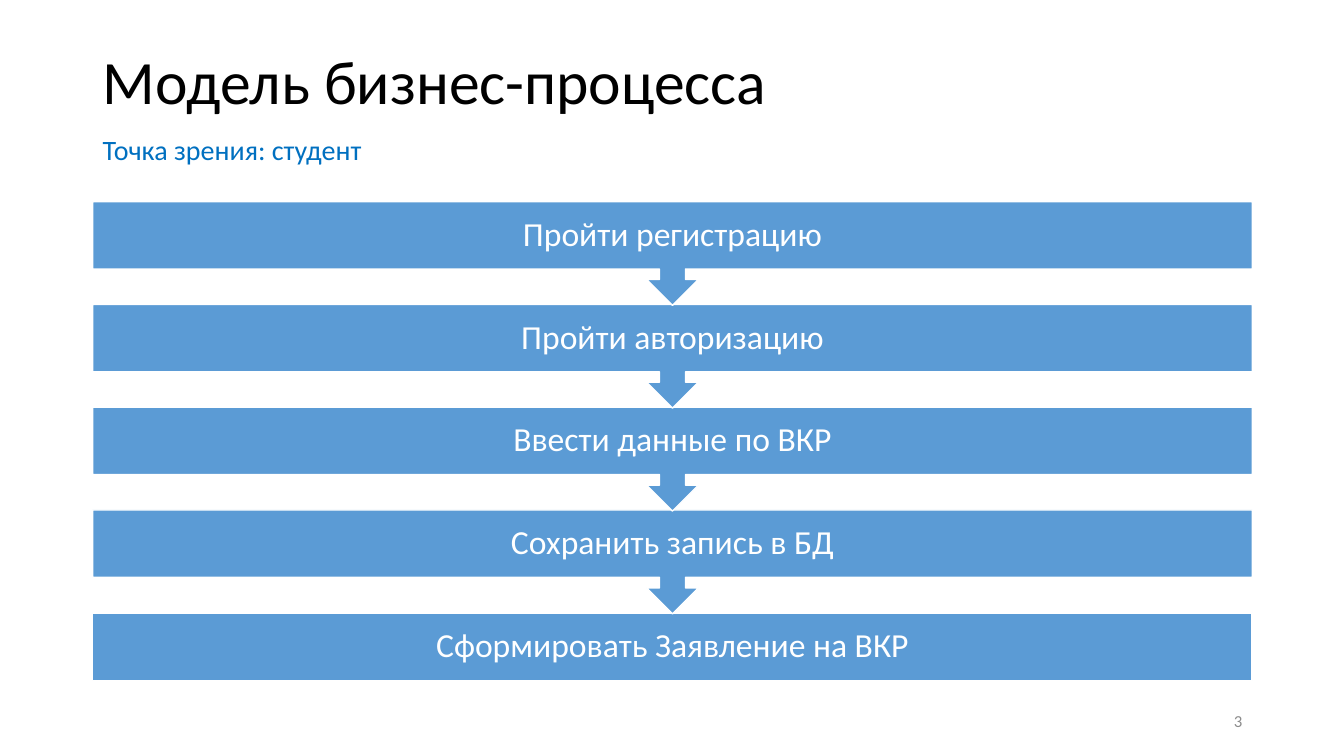
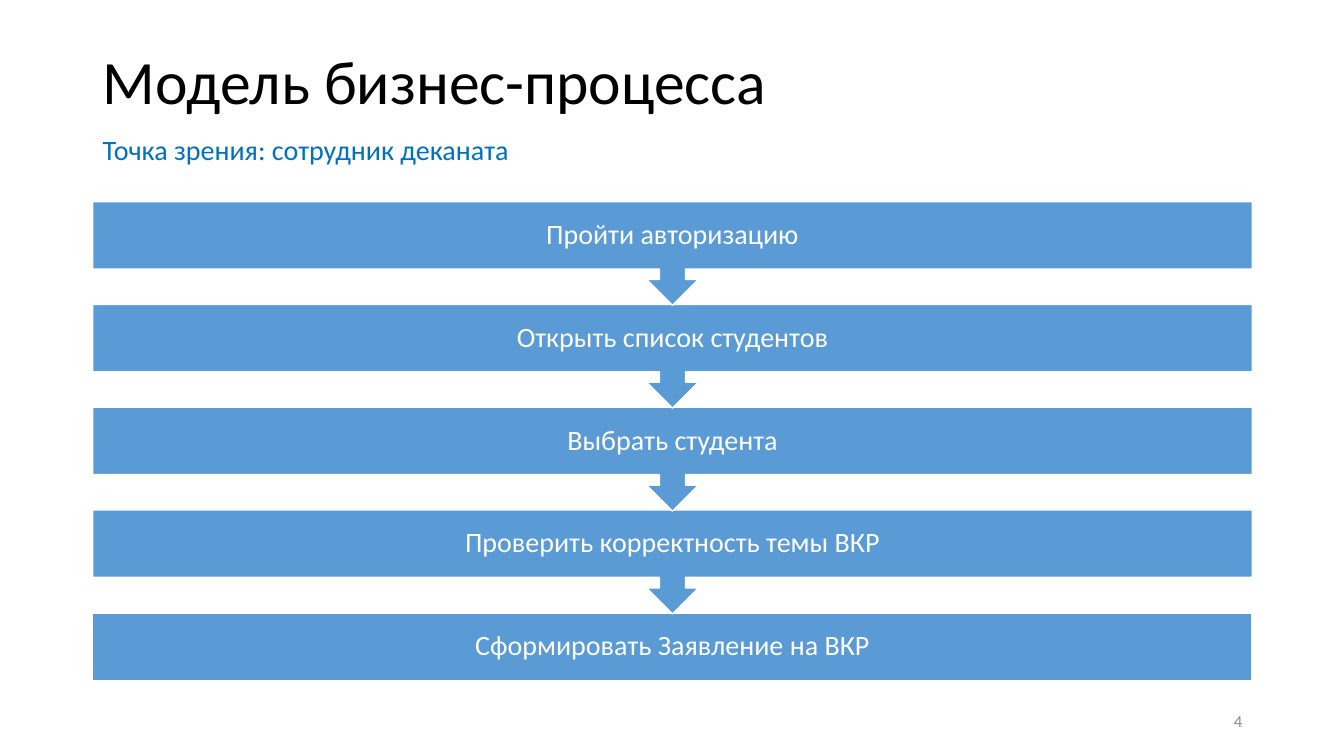
from dataclasses import dataclass

from pptx import Presentation
from pptx import util as u
from pptx.dml.color import RGBColor
from pptx.enum import shapes, text
from pptx.shapes.autoshape import Shape
from pptx.slide import Slide

COLORS = {
    "title": "000000",
    "viewpoint": "0070C0",
    "step": "5B9BD5",
    "white": "FFFFFF",
    "number": "8C8C8C",
}
FONT = "Calibri"
TITLE_ONLY = 5

# Shared column and step rhythm, in inches
LEFT, WIDTH = 0.92, 11.5
FIRST_TOP, STEP_PITCH = 2.0, 1.02
BAND_HEIGHT, CALLOUT_HEIGHT = 0.67, 1.03


@dataclass
class Process:
    number: int
    viewpoint: str
    viewpoint_width: float
    step_size: int
    step_inset: float
    steps: list[str]


PROCESSES = [
    Process(3, "студент", 2.79, 24, 0.19, [
        "Пройти регистрацию",
        "Пройти авторизацию",
        "Ввести данные по ВКР",
        "Сохранить запись в БД",
        "Сформировать Заявление на ВКР",
    ]),
    Process(4, "сотрудник деканата", 4.26, 20, 0.16, [
        "Пройти авторизацию",
        "Открыть список студентов",
        "Выбрать студента",
        "Проверить корректность темы ВКР",
        "Сформировать Заявление на ВКР",
    ]),
]


def rgb(name: str) -> RGBColor:
    return RGBColor.from_string(COLORS[name])


def write(holder: Shape, words: str, size: int, color: str,
          align: text.PP_ALIGN = text.PP_ALIGN.LEFT,
          anchor: text.MSO_ANCHOR = text.MSO_ANCHOR.MIDDLE,
          spacing: float = 1.0, wrap: bool = True) -> None:
    frame = holder.text_frame
    frame.text = words
    frame.word_wrap = wrap
    frame.auto_size = text.MSO_AUTO_SIZE.NONE
    frame.vertical_anchor = anchor
    paragraph = frame.paragraphs[0]
    paragraph.alignment = align
    paragraph.line_spacing = spacing
    paragraph.font.name = FONT
    paragraph.font.size = u.Pt(size)
    paragraph.font.color.rgb = rgb(color)


def add_title(slide: Slide, words: str) -> None:
    title = slide.shapes.title
    title.left, title.top = u.Inches(LEFT), u.Inches(0.11)
    title.width, title.height = u.Inches(WIDTH), u.Inches(1.45)
    write(title, words, 44, "title", spacing=0.9)


def add_step(slide: Slide, process: Process, index: int) -> None:
    is_last = index == len(process.steps) - 1
    outline = (shapes.MSO_SHAPE.RECTANGLE if is_last
               else shapes.MSO_SHAPE.DOWN_ARROW_CALLOUT)
    step = slide.shapes.add_shape(
        outline, u.Inches(LEFT), u.Inches(FIRST_TOP + index * STEP_PITCH),
        u.Inches(WIDTH), u.Inches(BAND_HEIGHT if is_last else CALLOUT_HEIGHT))
    step.shadow.inherit = False
    step.fill.solid()
    step.fill.fore_color.rgb = rgb("step")
    step.line.color.rgb = rgb("white")
    step.line.width = u.Pt(1)
    frame = step.text_frame
    frame.margin_left = frame.margin_right = u.Inches(process.step_inset)
    frame.margin_top = frame.margin_bottom = 0
    write(step, process.steps[index], process.step_size, "white",
          text.PP_ALIGN.CENTER, spacing=0.9)


def add_process(slide: Slide, process: Process) -> None:
    add_title(slide, "Модель бизнес-процесса")

    # Lower steps first, so each arrow tip lies over the next band
    for index in reversed(range(len(process.steps))):
        add_step(slide, process, index)

    # Point of view under the title
    viewpoint = slide.shapes.add_textbox(
        u.Inches(LEFT), u.Inches(1.27),
        u.Inches(process.viewpoint_width), u.Inches(0.44))
    write(viewpoint, f"Точка зрения: {process.viewpoint}", 20, "viewpoint",
          anchor=text.MSO_ANCHOR.TOP, wrap=False)

    # Slide number
    number = slide.shapes.add_textbox(
        u.Inches(9.42), u.Inches(6.95), u.Inches(3), u.Inches(0.4))
    write(number, str(process.number), 12, "number", text.PP_ALIGN.RIGHT)


def main() -> None:
    deck = Presentation()
    deck.slide_width, deck.slide_height = u.Inches(13.33), u.Inches(7.5)
    for process in PROCESSES:
        slide = deck.slides.add_slide(deck.slide_layouts[TITLE_ONLY])
        add_process(slide, process)
    deck.save("out.pptx")


main()
